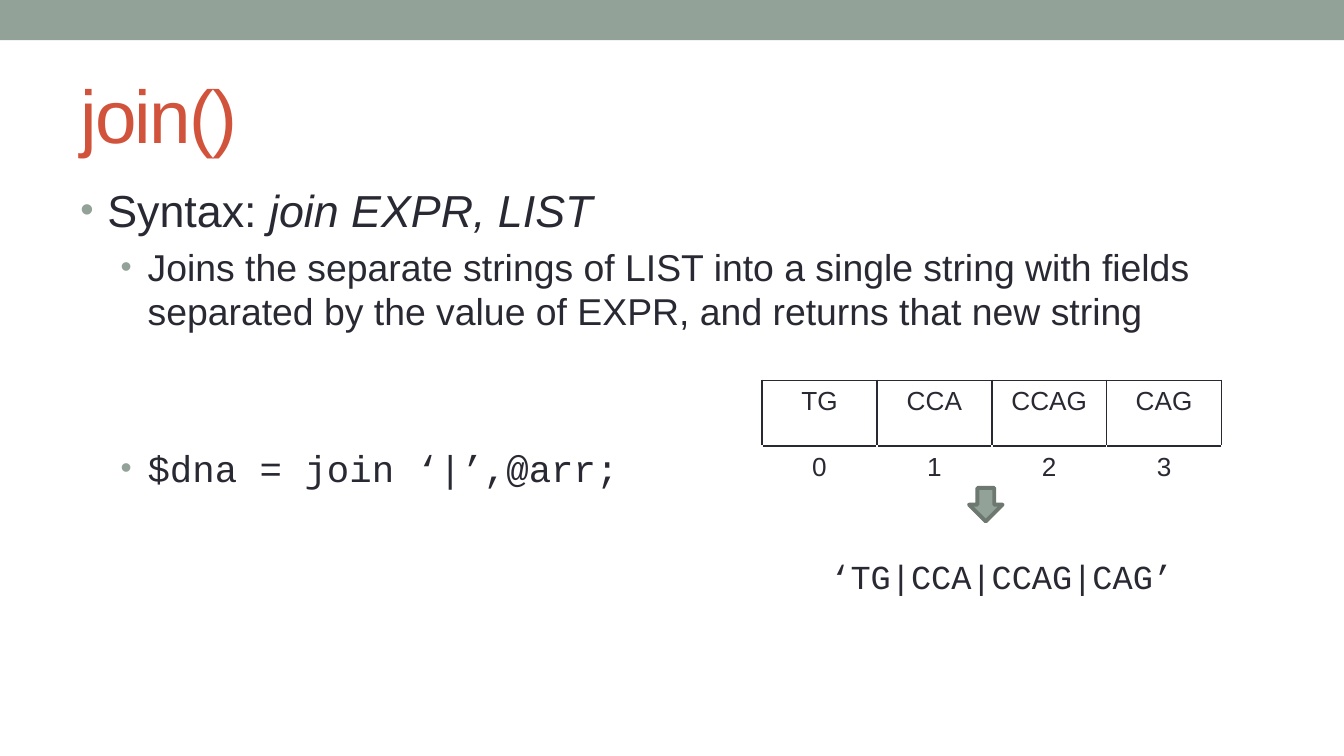
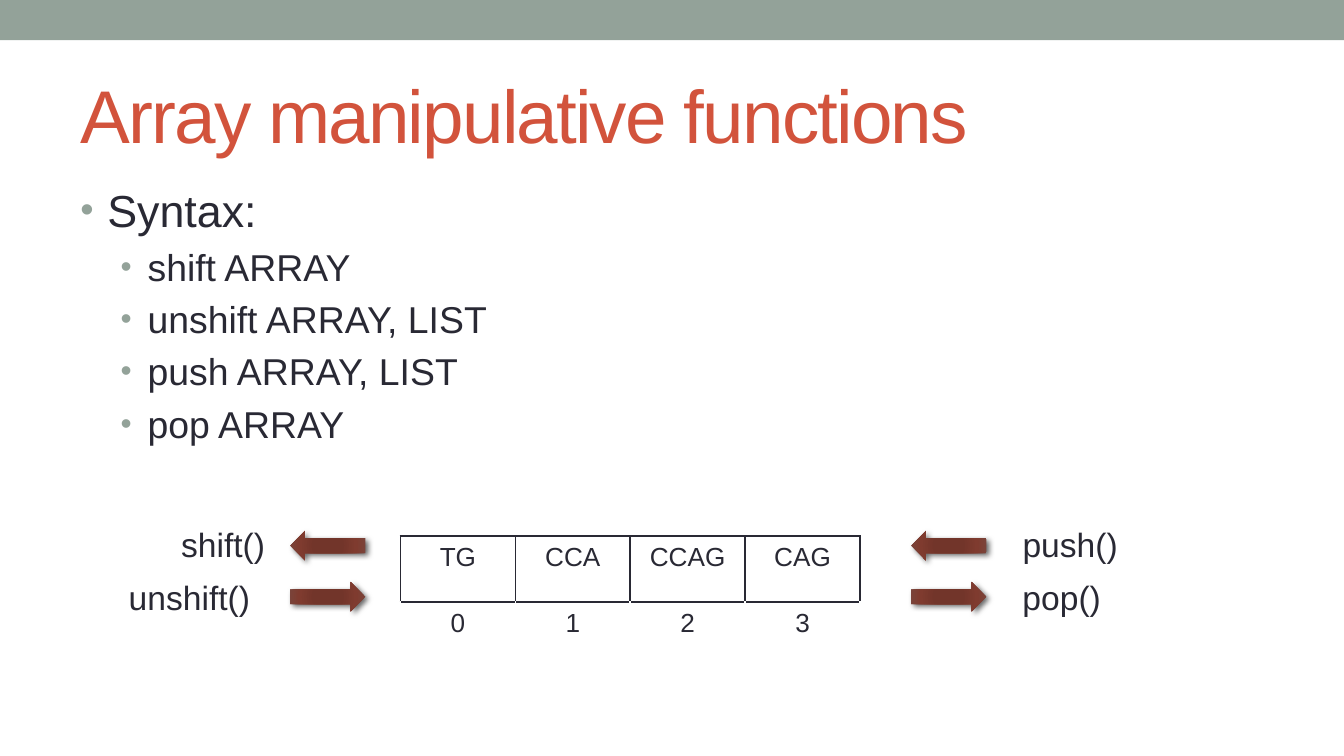
from dataclasses import dataclass

from lxml import etree
from pptx import Presentation
from pptx import util as u
from pptx.dml.color import RGBColor
from pptx.enum import shapes, text
from pptx.oxml import parse_xml
from pptx.oxml.ns import nsdecls, qn


@dataclass(frozen=True)
class Theme:
    band: str = "93A299"
    title: str = "D2533C"
    ink: str = "292934"
    paper: str = "FFFFFF"
    outline: str = "6D7871"
    arrow_stops: tuple = ((0, "743327"), (34, "72352A"), (70, "7F3B2F"), (100, "79463D"))
    sans: str = "Arial"
    mono: str = "Courier New"
    title_size: int = 40
    body_sizes: tuple = (24, 20)
    label_size: int = 18
    cell_size: int = 14


theme = Theme()


def write(para, words, size, font=theme.sans, color=theme.ink, italic=False):
    span = para.add_run()
    span.text = words
    span.font.size = u.Pt(size)
    span.font.name = font
    span.font.italic = italic
    span.font.color.rgb = RGBColor.from_string(color)
    return span


def add_text_box(page, left, top, width, height):
    box = page.shapes.add_textbox(*map(u.Inches, (left, top, width, height)))
    box.text_frame.word_wrap = True
    return box.text_frame


# Widescreen deck, 16 to 9
deck = Presentation()
deck.slide_width = u.Inches(10)
deck.slide_height = deck.slide_width * 9 // 16

# Each body line: level, space before in points, spans of (words, font, italic)
sans, mono = theme.sans, theme.mono
functions = ("shift ARRAY", "unshift ARRAY, LIST", "push ARRAY, LIST", "pop ARRAY")
contents = [
    ("join()", (5.67, 2.83), [
        (0, 0, [("Syntax: ", sans, False), ("join EXPR, LIST", sans, True)]),
        (1, 4, [("Joins the separate strings of LIST into a single string with fields "
                 "separated by the value of EXPR, and returns that new string", sans, False)]),
        (1, 60, [("$dna = join ‘|’,@arr;", mono, False)]),
    ]),
    ("Array manipulative functions", (2.98, 3.99),
     [(0, 0, [("Syntax:", sans, False)])]
     + [(1, 4, [(words, sans, False)]) for words in functions]),
]
array_rows = [("TG", "CCA", "CCAG", "CAG"), ("0", "1", "2", "3")]
row_heights = (0.49, 0.34)
table_width = 3.42

pages = []
for heading, (table_left, table_top), lines in contents:
    page = deck.slides.add_slide(deck.slide_layouts[5])
    pages.append(page)

    # Top band
    band = page.shapes.add_shape(shapes.MSO_SHAPE.RECTANGLE, 0, 0, deck.slide_width, u.Inches(0.3))
    band.shadow.inherit = False
    band.fill.solid()
    band.fill.fore_color.rgb = RGBColor.from_string(theme.band)
    band.line.fill.background()

    # Title
    title = page.shapes.title
    title.left, title.top = u.Inches(0.5), u.Inches(0.44)
    title.width, title.height = u.Inches(9), u.Inches(0.81)
    title.text_frame.vertical_anchor = text.MSO_ANCHOR.MIDDLE
    para = title.text_frame.paragraphs[0]
    para.alignment = text.PP_ALIGN.LEFT
    span = write(para, heading, theme.title_size, color=theme.title)
    span.font._element.set("spc", "-100")

    # Bulleted body
    body = add_text_box(page, 0.5, 1.31, 9, 4)
    for index, (level, gap, spans) in enumerate(lines):
        para = body.add_paragraph() if index else body.paragraphs[0]
        para.level = level
        para.space_before = u.Pt(gap)
        props = para._p.get_or_add_pPr()
        props.set("marL", str(u.Inches((0.2, 0.5)[level])))
        props.set("indent", str(u.Inches(-0.2)))
        bullet_color = etree.SubElement(props, qn("a:buClr"))
        etree.SubElement(bullet_color, qn("a:srgbClr"), val=theme.band)
        etree.SubElement(props, qn("a:buSzPct"), val="85000")
        etree.SubElement(props, qn("a:buFont"), typeface=theme.sans)
        etree.SubElement(props, qn("a:buChar"), char="•")
        for words, font, italic in spans:
            write(para, words, theme.body_sizes[level], font, italic=italic)

    # Array table: boxed values above bare indexes
    table = page.shapes.add_table(
        2, 4, u.Inches(table_left), u.Inches(table_top),
        u.Inches(table_width), u.Inches(sum(row_heights))).table
    table.first_row = table.horz_banding = False
    for row, values in enumerate(array_rows):
        table.rows[row].height = u.Inches(row_heights[row])
        for col, value in enumerate(values):
            cell = table.cell(row, col)
            para = cell.text_frame.paragraphs[0]
            para.alignment = text.PP_ALIGN.CENTER
            write(para, value, theme.cell_size)
            props = cell._tc.get_or_add_tcPr()
            for side in "LRTB":
                color = theme.paper if row and side != "T" else theme.ink
                props.append(parse_xml(
                    f'<a:ln{side} {nsdecls("a")} w="12700"><a:solidFill>'
                    f'<a:srgbClr val="{color}"/></a:solidFill></a:ln{side}>'))
            cell.fill.background()

join_page, functions_page = pages

# Arrow from the array to the joined result
arrow = join_page.shapes.add_shape(
    shapes.MSO_SHAPE.DOWN_ARROW, *map(u.Inches, (7.21, 3.63, 0.25, 0.25)))
arrow.shadow.inherit = False
arrow.fill.solid()
arrow.fill.fore_color.rgb = RGBColor.from_string(theme.band)
arrow.line.color.rgb = RGBColor.from_string(theme.outline)
arrow.line.width = u.Pt(2.08)

# Arrows in and out of both ends of the array
stops = "".join(f'<a:gs pos="{place * 1000}"><a:srgbClr val="{color}"/></a:gs>'
                for place, color in theme.arrow_stops)
for top, flipped in ((3.95, False), (4.33, True)):
    for left in (2.16, 6.78):
        arrow = functions_page.shapes.add_shape(
            shapes.MSO_SHAPE.LEFT_ARROW, *map(u.Inches, (left, top, 0.56, 0.22)))
        arrow.line.fill.background()
        arrow.shadow.inherit = False
        props = arrow._element.spPr
        if flipped:
            props.find(qn("a:xfrm")).set("flipH", "1")
        props.find(qn("a:ln")).addprevious(parse_xml(
            f'<a:gradFill {nsdecls("a")} rotWithShape="1"><a:gsLst>{stops}</a:gsLst>'
            '<a:path path="circle"><a:fillToRect l="100000" t="100000" r="100000" b="100000"/>'
            '</a:path></a:gradFill>'))
        props.find(qn("a:effectLst")).append(parse_xml(
            f'<a:outerShdw {nsdecls("a")} blurRad="38100" dist="25400" dir="2700000" '
            'rotWithShape="0"><a:srgbClr val="000000"><a:alpha val="60000"/></a:srgbClr>'
            '</a:outerShdw>'))

# Labels
labels = [
    (join_page, "‘TG|CCA|CCAG|CAG’", 6.08, 4.09, 2.82, mono),
    (functions_page, "shift()", 1.25, 3.85, 0.87, sans),
    (functions_page, "unshift()", 0.86, 4.24, 1.26, sans),
    (functions_page, "push()", 7.51, 3.85, 2.01, sans),
    (functions_page, "pop()", 7.51, 4.24, 0.96, sans),
]
for page, words, left, top, width, font in labels:
    label = add_text_box(page, left, top, width, 0.4)
    label.auto_size = text.MSO_AUTO_SIZE.SHAPE_TO_FIT_TEXT
    write(label.paragraphs[0], words, theme.label_size, font)

deck.save("out.pptx")
